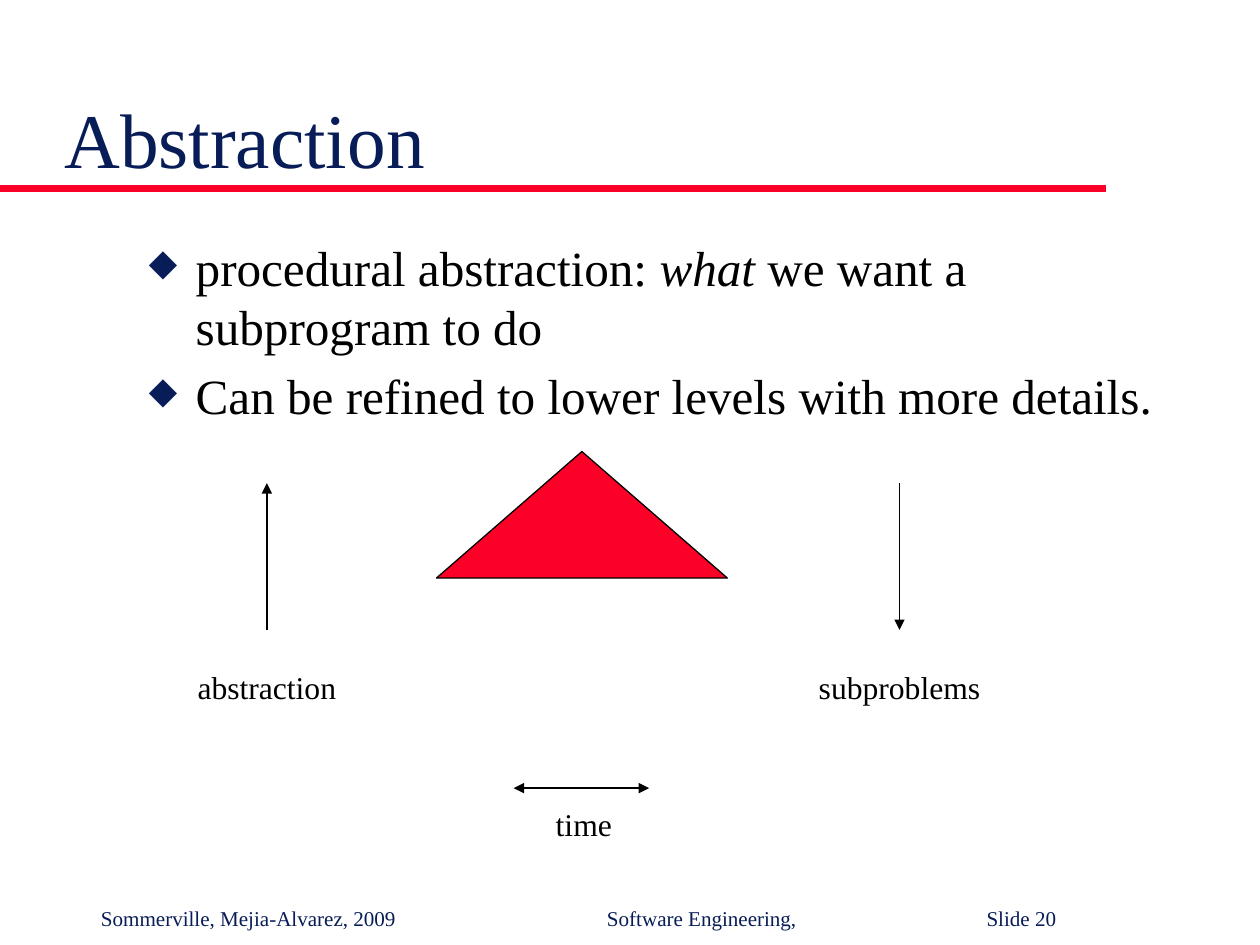
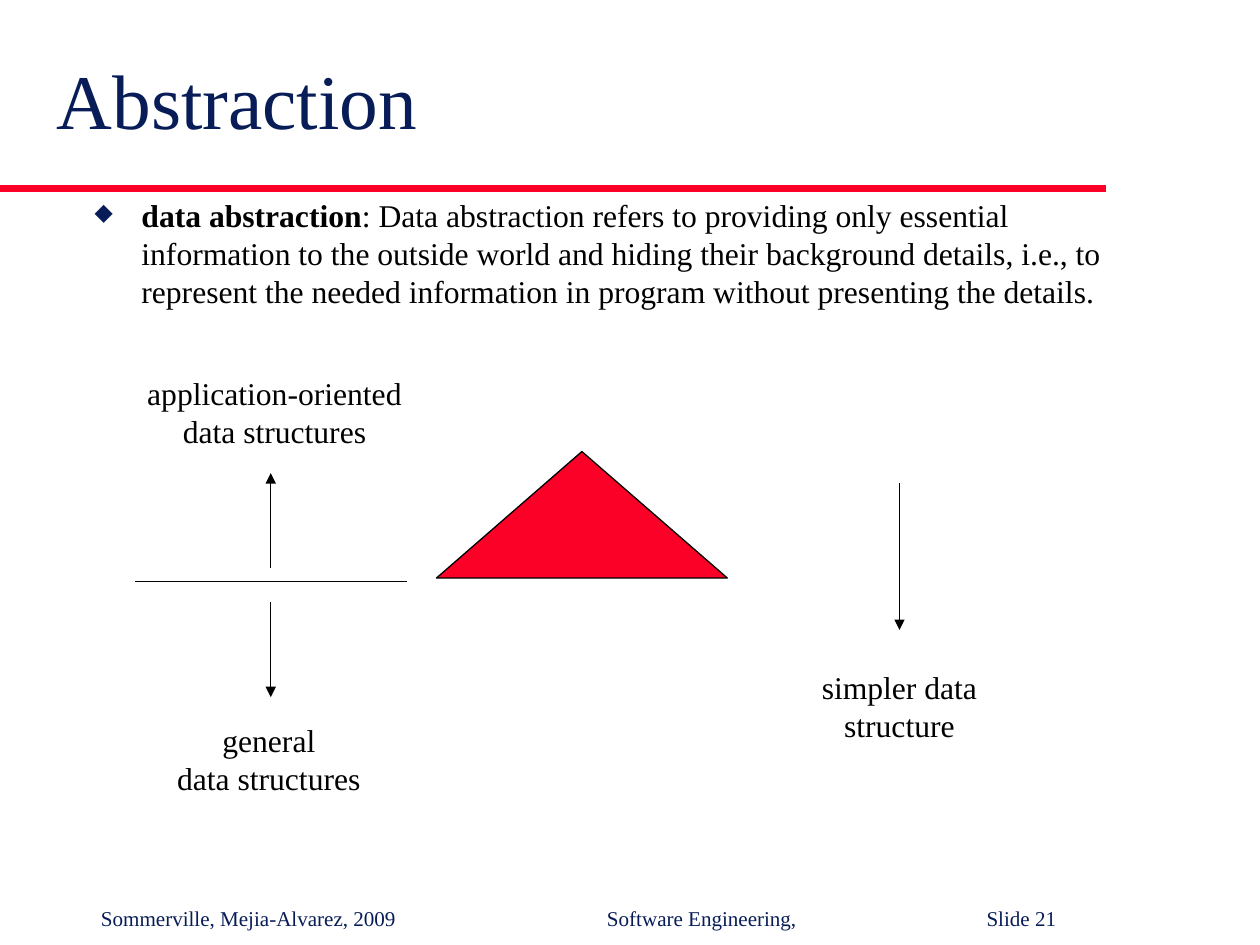
"""Builds two slides on procedural and data abstraction."""
from dataclasses import dataclass

from lxml.etree import SubElement
from pptx import Presentation
from pptx.dml.color import RGBColor
from pptx.enum.shapes import MSO_CONNECTOR, MSO_SHAPE
from pptx.enum.text import MSO_ANCHOR, PP_ALIGN
from pptx.oxml.ns import qn
from pptx.util import Inches, Pt

COLS, ROWS = 100, 75
CELL = 0.0996


def grid(*cells):
    return [Inches(CELL * n) for n in cells]


@dataclass(frozen=True)
class Theme:
    font: str = "Times New Roman"
    navy: str = "081D58"
    red: str = "FC0128"
    black: str = "000000"
    title: int = 44
    lead: int = 28
    label: int = 18
    footer: int = 12
    rule: float = 4
    thin: float = 0.75
    indent: float = 3.71
    bullet: str = "◆"
    bullet_size: int = 75
    line_space: float = 0.2


class Deck:
    def __init__(self, theme):
        self.t = theme
        self.prs = Presentation()
        self.prs.slide_width, self.prs.slide_height = grid(COLS, ROWS)

    def slide(self, title, left, bottom, number):
        self.s = self.prs.slides.add_slide(self.prs.slide_layouts[6])
        t = self.t
        self.line(0, 14.96, 87.75, 14.96, color=t.red, width=t.rule)
        self.footer(f"Slide {number}")
        tf = self.box(left, bottom - 12, 85.34, 12, anchor=MSO_ANCHOR.BOTTOM)
        self.add_runs(tf.paragraphs[0], [(title, {})], t.title, t.navy)

    def box(self, left, top, width, height, wrap=True, anchor=MSO_ANCHOR.TOP):
        tf = self.s.shapes.add_textbox(*grid(left, top, width, height)).text_frame
        for name, value in {"word_wrap": wrap, "vertical_anchor": anchor}.items():
            setattr(tf, name, value)
        return tf

    def add_runs(self, p, runs, size, color):
        for text, extra in runs:
            r = p.add_run()
            r.text = text
            fmt = {"name": self.t.font, "size": Pt(size), **extra}
            for name, value in fmt.items():
                setattr(r.font, name, value)
            r.font.color.rgb = RGBColor.from_string(color)

    def paragraphs(self, tf, items):
        for i, item in enumerate(items):
            yield (tf.add_paragraph() if i else tf.paragraphs[0]), item

    def footer(self, page):
        tf = self.box(7.03, 71.39, 79.72, 3)
        p = tf.paragraphs[0]
        tabs = SubElement(p._p.get_or_add_pPr(), qn("a:tabLst"))
        for inches in (4, 7):
            SubElement(tabs, qn("a:tab"), pos=str(Inches(inches)), algn="l")
        text = "\t".join(["Sommerville, Mejia-Alvarez, 2009", "Software Engineering,", page])
        self.add_runs(p, [(text, {})], self.t.footer, self.t.navy)

    def bullets(self, left, top, items, size):
        t = self.t
        tf = self.box(left, top, 85.34, 45.18)
        indent = grid(t.indent)[0]
        for p, runs in self.paragraphs(tf, items):
            pPr = p._p.get_or_add_pPr()
            pPr.set("marL", str(indent))
            pPr.set("indent", str(-indent))
            SubElement(SubElement(pPr, qn("a:buClr")), qn("a:srgbClr"), val=t.navy)
            SubElement(pPr, qn("a:buSzPct"), val=str(t.bullet_size * 1000))
            SubElement(pPr, qn("a:buChar"), char=t.bullet)
            if runs is not items[0]:
                p.space_before = Pt(size * t.line_space)
            self.add_runs(p, runs, size, t.black)

    def label(self, center, top, width, *lines):
        height = 0.9 + 3.1 * len(lines)
        tf = self.box(center - width / 2, top, width, height, wrap=False)
        for p, text in self.paragraphs(tf, lines):
            p.alignment = PP_ALIGN.CENTER
            self.add_runs(p, [(text, {})], self.t.label, self.t.black)

    def line(self, x1, y1, x2, y2, ends=(), color=None, width=None):
        sp = self.s.shapes.add_connector(MSO_CONNECTOR.STRAIGHT, *grid(x1, y1, x2, y2))
        sp.line.color.rgb = RGBColor.from_string(color or self.t.black)
        sp.line.width = Pt(width or self.t.thin)
        for end in ends:
            SubElement(sp.line._get_or_add_ln(), qn(f"a:{end}"), type="triangle")
        SubElement(sp._element.spPr, qn("a:effectLst"))

    def arrow(self, x1, y1, x2, y2):
        self.line(x1, y1, x2, y2, ends=["tailEnd"])

    def refinement(self, width, *lines):
        sp = self.s.shapes.add_shape(
            MSO_SHAPE.ISOSCELES_TRIANGLE, *grid(34.64, 35.84, 23.09, 10.04))
        sp.shadow.inherit = False
        sp.fill.solid()
        sp.fill.fore_color.rgb = RGBColor.from_string(self.t.red)
        sp.line.color.rgb = RGBColor.from_string(self.t.black)
        sp.line.width = Pt(self.t.thin)
        self.arrow(71.39, 38.35, 71.39, 50)
        self.label(71.39, 52.51, width, *lines)


def procedural(d):
    d.slide("Abstraction", 4.12, 15.06, 20)
    d.bullets(10.84, 18.37, [
        [("procedural abstraction: ", {}), ("what", {"italic": True}),
         (" we want a subprogram to do", {})],
        [("Can be refined to lower levels with more details.", {})],
    ], d.t.lead)
    d.refinement(14.96, "subproblems")
    d.arrow(21.18, 50, 21.18, 38.35)
    d.label(21.18, 52.51, 13.15, "abstraction")
    d.line(40.76, 62.55, 51.51, 62.55, ends=["headEnd", "tailEnd"])
    d.label(46.34, 63.35, 6.53, "time")


def data(d):
    d.slide("Abstraction", 3.51, 12, 21)
    d.bullets(6.53, 15.06, [
        [("data abstraction", {"bold": True}),
         (": Data abstraction refers to providing only essential information to the "
          "outside world and hiding their background details, i.e., to represent the "
          "needed information in program without presenting the details.", {})],
    ], d.t.label)
    d.refinement(14.46, "simpler data", "structure")
    d.label(21.79, 29.22, 22.49, "application-oriented", "data structures")
    d.arrow(21.49, 45.08, 21.49, 37.55)
    d.line(10.74, 46.18, 32.33, 46.18)
    d.arrow(21.49, 47.79, 21.49, 55.32)
    d.label(21.34, 56.73, 16.77, "general", "data structures")


def main():
    d = Deck(Theme())
    procedural(d)
    data(d)
    d.prs.save("out.pptx")


if __name__ == "__main__":
    main()
